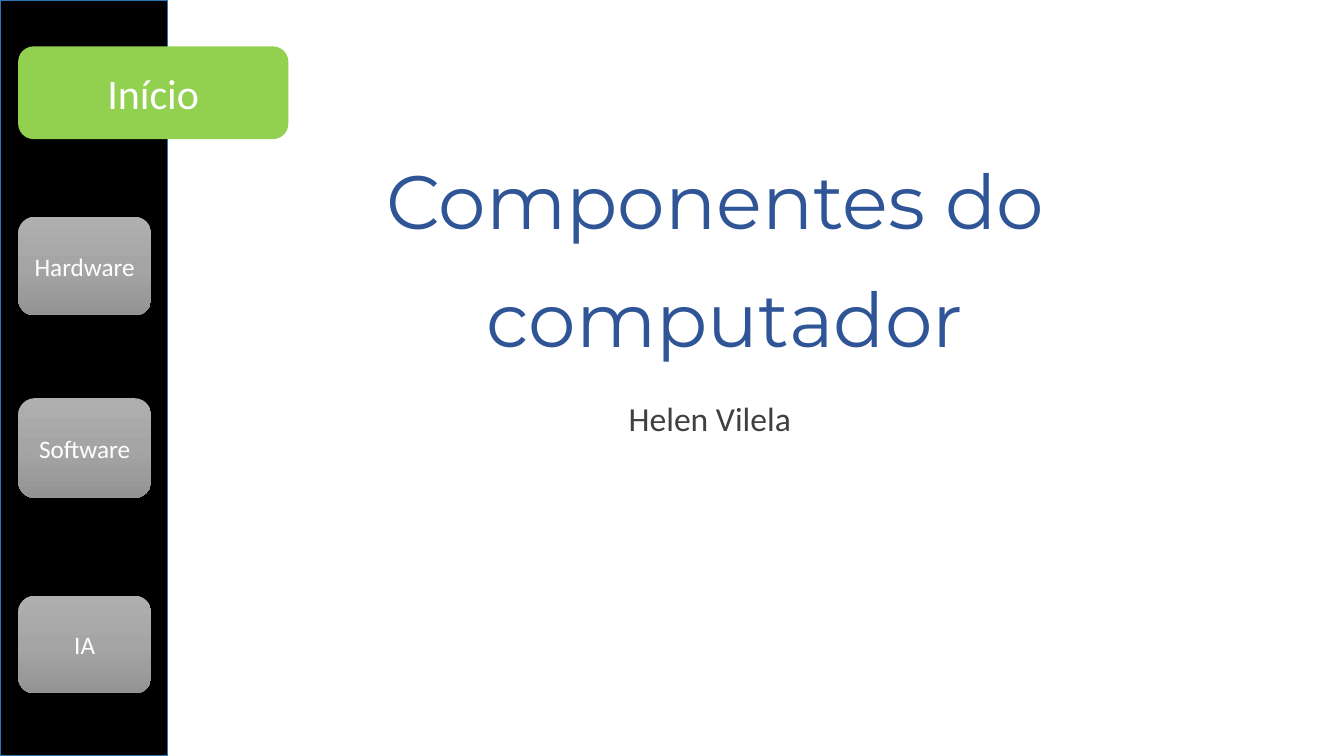
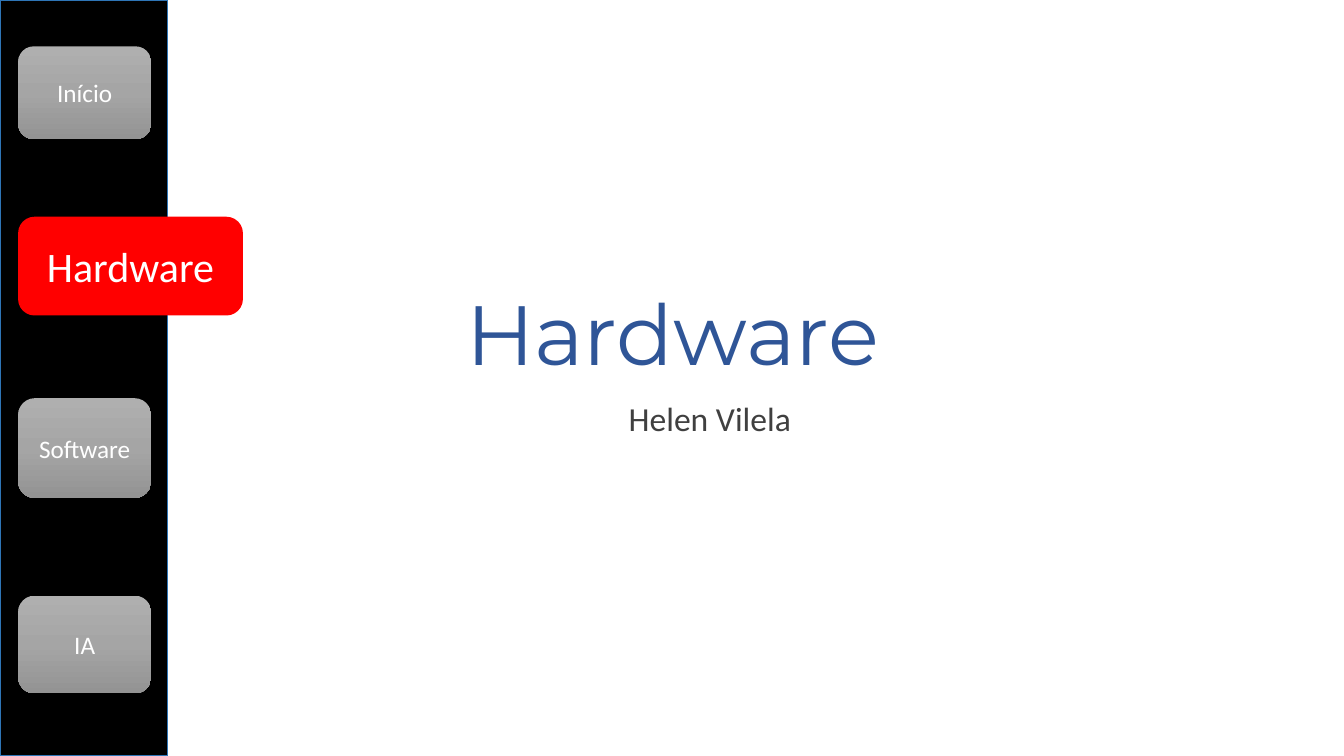
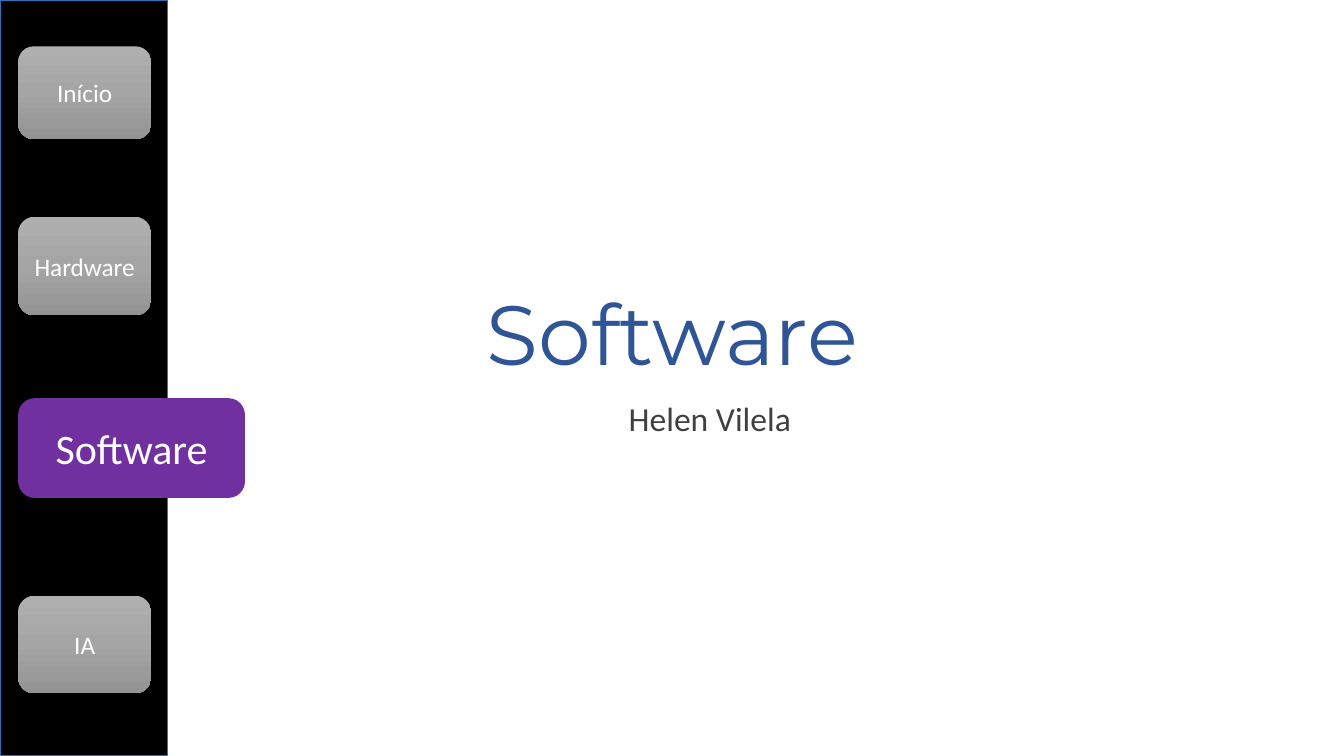
"""Build three section slides that share a side menu with the current section highlighted."""
import copy

import pptx
import pptx.dml.color
import pptx.enum.shapes
import pptx.enum.text
import pptx.oxml.ns
import pptx.util

Inches = pptx.util.Inches
Pt = pptx.util.Pt
SHAPE = pptx.enum.shapes.MSO_SHAPE
ANCHOR = pptx.enum.text.MSO_ANCHOR
CENTER = pptx.enum.text.PP_ALIGN.CENTER

AUTHOR = "Helen Vilela"
GREY_STOPS = [(0, "AFAFAF"), (0.5, "A5A5A5"), (1, "939393")]
MENU = [
    ("Início", 0.46, 0.92),
    ("Hardware", 2.15, 0.98),
    ("Software", 3.95, 0.99),
    ("IA", 5.91, 0.97),
]
SECTIONS = [
    ("Início", "Componentes do \vcomputador", 54, 2.19, 1.26, "92D050", 2.68),
    ("Hardware", "Hardware", 60, 1.67, 1.45, "FF0000", 2.23),
    ("Software", "Software", 60, 1.67, 1.45, "7030A0", 2.25),
]


def rgb(value):
    return pptx.dml.color.RGBColor.from_string(value)


def write(shape, text, font, size, color, anchor):
    frame = shape.text_frame
    frame.word_wrap = True
    frame.auto_size = pptx.enum.text.MSO_AUTO_SIZE.NONE
    frame.vertical_anchor = anchor
    frame.text = text
    para = frame.paragraphs[0]
    para.alignment = CENTER
    para.font.name = font
    para.font.size = Pt(size)
    para.font.color.rgb = rgb(color)
    return para


deck = pptx.Presentation()
deck.slide_width = Inches(13.33)
deck.slide_height = Inches(7.5)

for section, heading, size, left, top, accent, active_width in SECTIONS:
    page = deck.slides.add_slide(deck.slide_layouts[5])

    title = page.shapes.title
    title.left, title.top = Inches(left), Inches(top)
    title.width, title.height = Inches(10), Inches(2.39)
    para = write(title, heading, "Montserrat", size, "2F5597", ANCHOR.BOTTOM)
    para.line_spacing = 1.3

    subtitle = page.shapes.add_textbox(Inches(1.67), Inches(3.94), Inches(10), Inches(1.81))
    subtitle.text_frame.margin_left = Inches(0.84)
    para = write(subtitle, AUTHOR, "Calibri", 24, "404040", ANCHOR.TOP)
    para.line_spacing = 0.9
    para.space_before = Pt(10)

    band = page.shapes.add_shape(SHAPE.RECTANGLE, 0, 0, Inches(1.66), deck.slide_height)
    band.shadow.inherit = False
    band.fill.solid()
    band.fill.fore_color.rgb = rgb("000000")
    band.line.color.rgb = rgb("2E75B6")
    band.line.width = Pt(1)

    for label, button_top, button_height in MENU:
        active = label == section
        button = page.shapes.add_shape(
            SHAPE.ROUNDED_RECTANGLE,
            Inches(0.18),
            Inches(button_top),
            Inches(active_width if active else 1.32),
            Inches(button_height),
        )
        button.shadow.inherit = False
        button.line.fill.background()
        if active:
            button.fill.solid()
            button.fill.fore_color.rgb = rgb(accent)
        else:
            button.fill.gradient()
            button.fill.gradient_angle = 270
            stop_list = next(button._element.iter(pptx.oxml.ns.qn("a:gsLst")))
            stop_list.append(copy.deepcopy(stop_list[0]))
            for stop, (position, color) in zip(button.fill.gradient_stops, GREY_STOPS):
                stop.position = position
                stop.color.rgb = rgb(color)
        write(button, label, "Calibri", 30 if active else 18, "FFFFFF", ANCHOR.MIDDLE)

deck.save("out.pptx")
